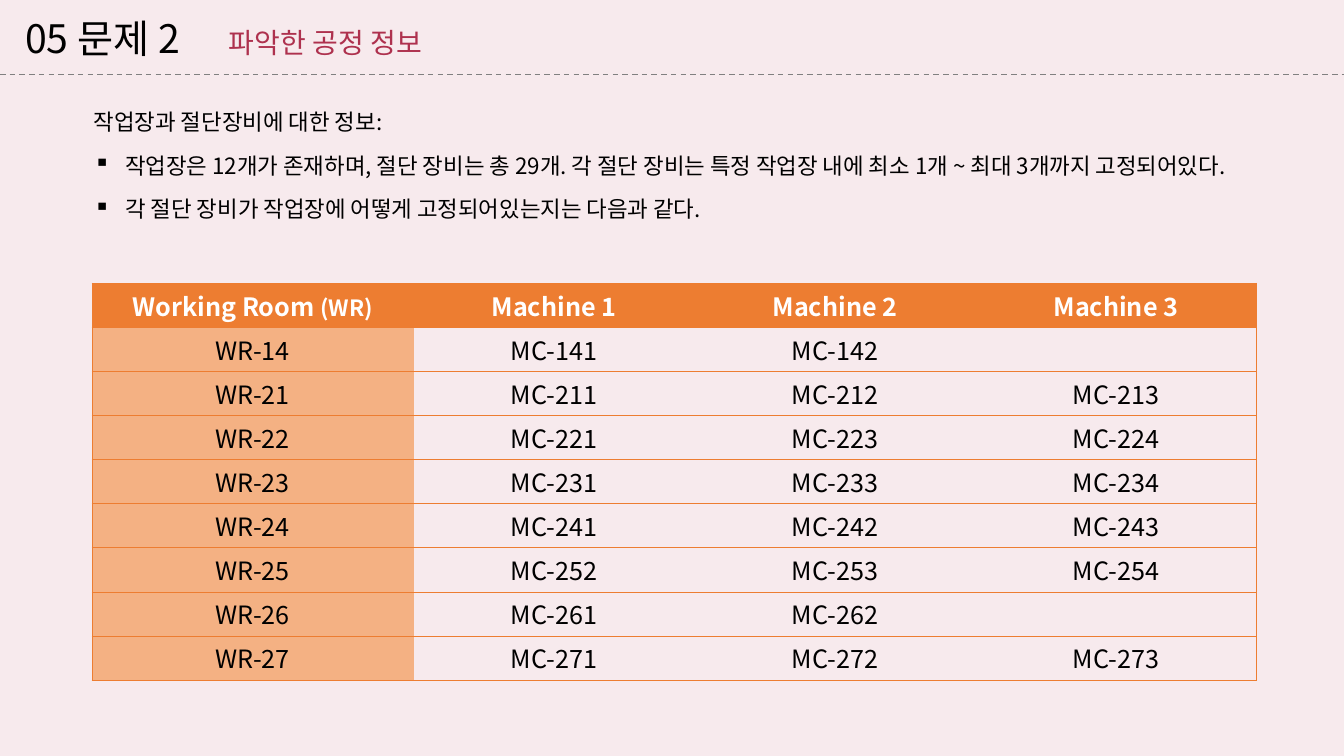
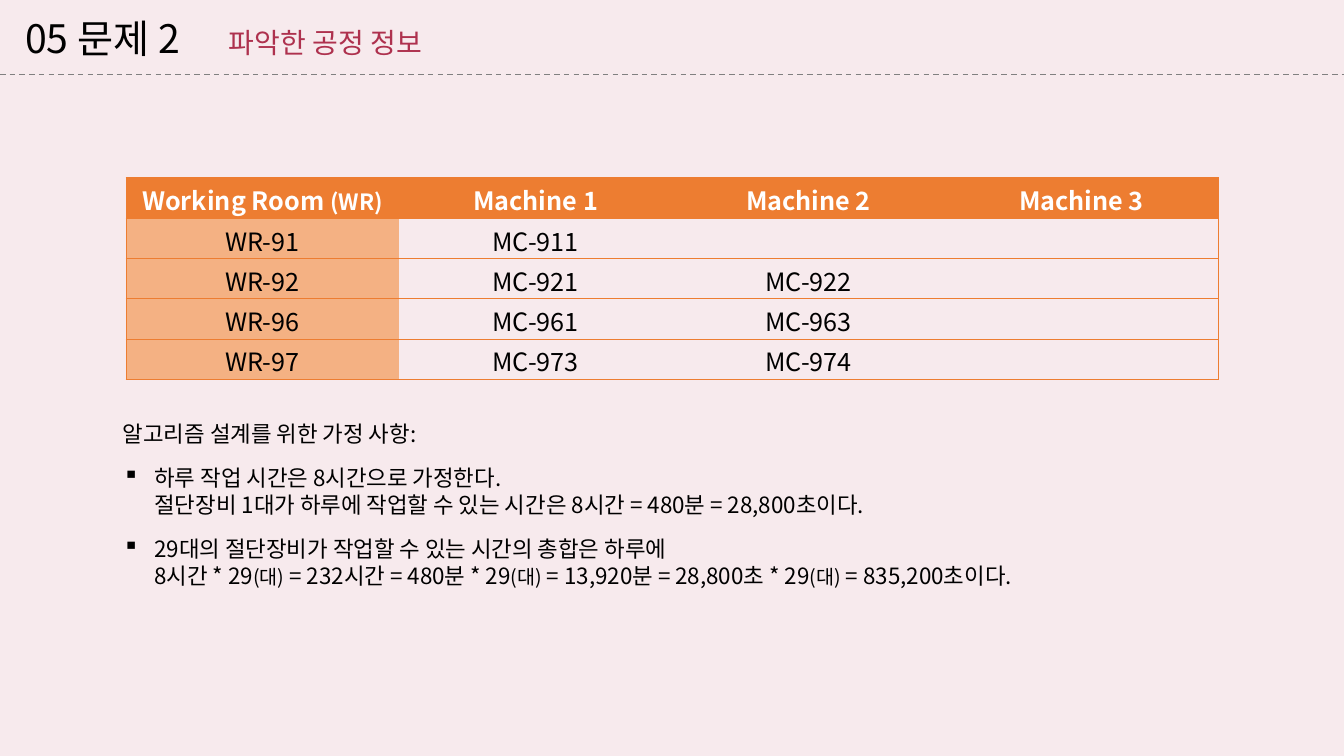
import pptx
import pptx.dml.color
import pptx.enum.dml
import pptx.enum.shapes
import pptx.enum.text
import pptx.oxml
import pptx.oxml.ns
import pptx.util
import lxml.etree

Pt = pptx.util.Pt
qn = pptx.oxml.ns.qn
RGB = pptx.dml.color.RGBColor.from_string

FONT = "Noto Sans CJK KR"
COLORS = {
    "background": "F7EAED",
    "accent": "AE314E",
    "rule": "808080",
    "text": "000000",
    "header": "ED7D31",
    "header_text": "FFFFFF",
    "room": "F4B183",
}
SLIDE_WIDTH, SLIDE_HEIGHT = 960, 540
RULE_TOP = 53.3
INDENT = 22.5
HEADER = [
    [("Working Room ", 18), ("(WR)", 16)],
    [("Machine 1", 18)],
    [("Machine 2", 18)],
    [("Machine 3", 18)],
]

# Content of each slide: the notes come as a heading followed by bullets
PAGES = [
    {
        "notes_at": (52.6, 73.4, 855.4, 108.7),
        "notes": [
            [("작업장과 절단장비에 대한 정보:", 16)],
            [("작업장은 12개가 존재하며, 절단 장비는 총 29개. 각 절단 장비는 "
              "특정 작업장 내에 최소 1개 ~ 최대 3개까지 고정되어있다.", 16)],
            [("각 절단 장비가 작업장에 어떻게 고정되어있는지는 다음과 같다.", 16)],
        ],
        "table_at": (65.7, 202.3),
        "widths": [229.7, 200.7, 200.7, 200.7],
        "row_height": 31.5,
        "rooms": [
            ("WR-14", "MC-141", "MC-142", ""),
            ("WR-21", "MC-211", "MC-212", "MC-213"),
            ("WR-22", "MC-221", "MC-223", "MC-224"),
            ("WR-23", "MC-231", "MC-233", "MC-234"),
            ("WR-24", "MC-241", "MC-242", "MC-243"),
            ("WR-25", "MC-252", "MC-253", "MC-254"),
            ("WR-26", "MC-261", "MC-262", ""),
            ("WR-27", "MC-271", "MC-272", "MC-273"),
        ],
    },
    {
        "notes_at": (73.4, 296.6, 855.4, 128.2),
        "notes": [
            [("알고리즘 설계를 위한 가정 사항:", 16)],
            [("하루 작업 시간은 8시간으로 가정한다.\n절단장비 1대가 하루에 작업할 수 "
              "있는 시간은 8시간 = 480분 = 28,800초이다.", 16)],
            [("29대의 절단장비가 작업할 수 있는 시간의 총합은 하루에\n8시간 * 29", 16),
             ("(대)", 14), (" = 232시간 = 480분 * 29", 16),
             ("(대)", 14), (" = 13,920분 = 28,800초 * 29", 16),
             ("(대)", 14), (" = 835,200초이다.", 16)],
        ],
        "table_at": (90, 126.9),
        "widths": [195, 195, 195, 195],
        "row_height": 28.8,
        "rooms": [
            ("WR-91", "MC-911", "", ""),
            ("WR-92", "MC-921", "MC-922", ""),
            ("WR-96", "MC-961", "MC-963", ""),
            ("WR-97", "MC-973", "MC-974", ""),
        ],
    },
]


def write(paragraph, pieces, color="text", bold=False):
    """Add (text, size) pieces as runs; a newline becomes a line break."""
    for text, size in pieces:
        for number, line in enumerate(text.split("\n")):
            if number:
                paragraph.add_line_break()
            run = paragraph.add_run()
            run.text = line
            run.font.name = FONT
            run.font.size = Pt(size)
            run.font.bold = bold
            run.font.color.rgb = RGB(COLORS[color])
            east_asian = lxml.etree.SubElement(run._r.get_or_add_rPr(), qn("a:ea"))
            east_asian.set("typeface", FONT)


def add_text_frame(slide, left, top, width, height):
    frame = slide.shapes.add_textbox(Pt(left), Pt(top), Pt(width), Pt(height)).text_frame
    frame.word_wrap = True
    frame.auto_size = pptx.enum.text.MSO_AUTO_SIZE.SHAPE_TO_FIT_TEXT
    return frame


deck = pptx.Presentation()
deck.slide_width, deck.slide_height = Pt(SLIDE_WIDTH), Pt(SLIDE_HEIGHT)
backdrop = deck.slide_master.background.fill
backdrop.solid()
backdrop.fore_color.rgb = RGB(COLORS["background"])

for page in PAGES:
    slide = deck.slides.add_slide(deck.slide_layouts[6])

    # Dashed rule under the title
    rule = slide.shapes.add_connector(
        pptx.enum.shapes.MSO_CONNECTOR.STRAIGHT,
        Pt(0), Pt(RULE_TOP), Pt(SLIDE_WIDTH), Pt(RULE_TOP))
    rule.line.color.rgb = RGB(COLORS["rule"])
    rule.line.width = Pt(1)
    rule.line.dash_style = pptx.enum.dml.MSO_LINE.DASH
    lxml.etree.SubElement(rule._element.spPr, qn("a:effectLst"))

    # Title, with the subtitle at a tab stop
    title = add_text_frame(slide, 10.8, 6.5, 650, 41).paragraphs[0]
    tabs = lxml.etree.SubElement(title._p.get_or_add_pPr(), qn("a:tabLst"))
    lxml.etree.SubElement(tabs, qn("a:tab"), pos=str(Pt(145.5)), algn="l")
    title.line_spacing = Pt(34)
    write(title, [("05 문제 2", 28)])
    write(title, [("\t파악한 공정 정보", 20)], "accent")

    # Heading and bullets
    notes = add_text_frame(slide, *page["notes_at"])
    notes.margin_left = Pt(14.4)
    for number, pieces in enumerate(page["notes"]):
        paragraph = notes.add_paragraph() if number else notes.paragraphs[0]
        if number:
            properties = paragraph._p.get_or_add_pPr()
            properties.set("marL", str(Pt(INDENT)))
            properties.set("indent", str(-Pt(INDENT)))
            lxml.etree.SubElement(properties, qn("a:buChar"), char="▪")
        paragraph.space_after = Pt(12)
        paragraph.line_spacing = Pt(19.3)
        write(paragraph, pieces)

    # Table of machines by working room
    rows = [HEADER] + [[[(name, 18)] if name else [] for name in room]
                       for room in page["rooms"]]
    left, top = page["table_at"]
    machines = slide.shapes.add_table(
        len(rows), len(HEADER), Pt(left), Pt(top),
        Pt(sum(page["widths"])), Pt(page["row_height"] * len(rows))).table
    for column, width in zip(machines.columns, page["widths"]):
        column.width = Pt(width)
    for r, row in enumerate(rows):
        machines.rows[r].height = Pt(page["row_height"])
        for c, pieces in enumerate(row):
            cell = machines.cell(r, c)
            cell.margin_top, cell.margin_bottom = Pt(2.7), Pt(0)
            paragraph = cell.text_frame.paragraphs[0]
            paragraph.alignment = pptx.enum.text.PP_ALIGN.CENTER
            write(paragraph, pieces, "text" if r else "header_text", bold=r == 0)

            # Horizontal lines everywhere, vertical ones only at the outer edges
            borders = {"lnL": c == 0, "lnR": c == len(HEADER) - 1, "lnT": True, "lnB": True}
            for side, visible in borders.items():
                border = lxml.etree.SubElement(
                    cell._tc.get_or_add_tcPr(), qn("a:" + side), w=str(Pt(0.5)))
                if visible:
                    paint = lxml.etree.SubElement(border, qn("a:solidFill"))
                    lxml.etree.SubElement(paint, qn("a:srgbClr"), val=COLORS["header"])
                else:
                    lxml.etree.SubElement(border, qn("a:noFill"))

            if r and c:
                cell.fill.background()
            else:
                cell.fill.solid()
                cell.fill.fore_color.rgb = RGB(COLORS["room" if r else "header"])

deck.save("out.pptx")
